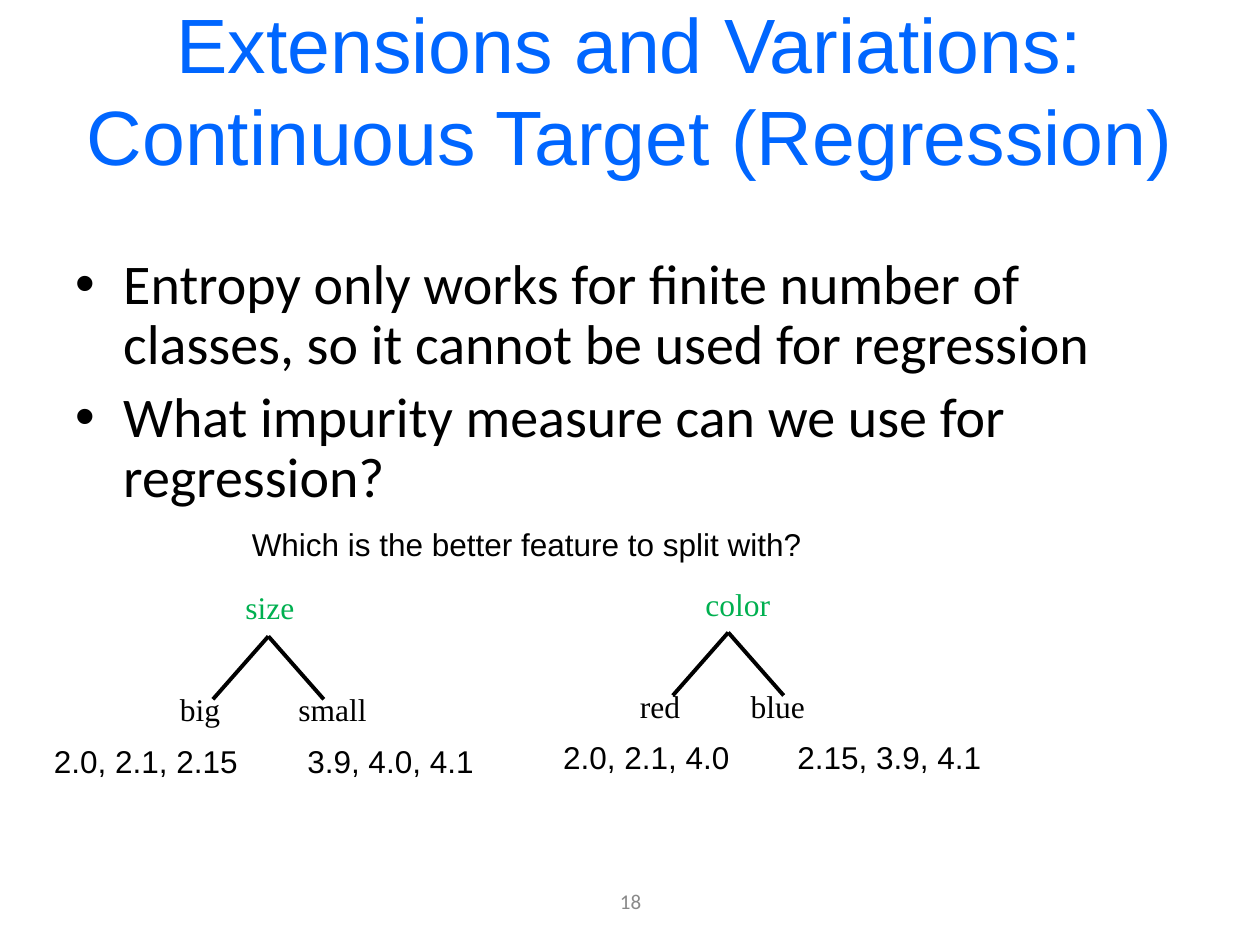
from lxml import etree
from pptx import Presentation
from pptx import util as u
from pptx.dml import color
from pptx.enum import shapes, text
from pptx.oxml import ns

COLORS = {"title": "0066FF", "feature": "00B050", "ink": "000000", "number": "898989"}
ROW = u.Inches(0.4)


def add_text(slide, box, lines, font, size, color_name,
             align=text.PP_ALIGN.LEFT, anchor=text.MSO_ANCHOR.TOP, bulleted=False):
    frame = slide.shapes.add_textbox(*box).text_frame
    frame.word_wrap = True
    frame.vertical_anchor = anchor
    for index, line in enumerate(lines):
        paragraph = frame.paragraphs[0] if index == 0 else frame.add_paragraph()
        paragraph.text = line
        paragraph.alignment = align
        if bulleted:
            add_bullet(paragraph)
            paragraph.line_spacing = 0.9
            if index:
                paragraph.space_before = u.Pt(7)
        paragraph.font.name = font
        paragraph.font.size = u.Pt(size)
        paragraph.font.color.rgb = color.RGBColor.from_string(COLORS[color_name])


def add_bullet(paragraph):
    properties = paragraph._p.get_or_add_pPr()
    indent = u.Inches(0.38)
    properties.set("marL", str(indent))
    properties.set("indent", str(-indent))
    etree.SubElement(properties, ns.qn("a:buFont"), typeface="Arial")
    etree.SubElement(properties, ns.qn("a:buChar"), char="•")


def add_branch(slide, start, end):
    branch = slide.shapes.add_connector(shapes.MSO_CONNECTOR.STRAIGHT, *start, *end)
    branch.line.color.rgb = color.RGBColor.from_string(COLORS["ink"])
    branch.line.width = u.Pt(2.25)
    etree.SubElement(branch._element.spPr, ns.qn("a:effectLst"))


def add_title(slide, box):
    add_text(slide, box, ["Extensions and Variations: Continuous Target (Regression)"],
             "Arial", 44, "title", text.PP_ALIGN.CENTER, text.MSO_ANCHOR.MIDDLE)


def add_body(slide, box):
    add_text(slide, box,
             ["Entropy only works for finite number of classes, so it cannot be used for regression",
              "What impurity measure can we use for regression?"],
             "Calibri", 32, "ink", bulleted=True)


def add_question(slide, box):
    add_text(slide, box, ["Which is the better feature to split with?"], "Arial", 18, "ink")


def add_tree(slide, box, feature, leaves):
    left, top, width, height = box
    apex = left + u.Inches(0.8), top + u.Inches(0.43)
    add_text(slide, (left + u.Inches(0.52), top, u.Inches(0.8), ROW),
             [feature], "Times New Roman", 18, "feature")
    for side, (label, label_x, values, values_x) in zip((-1, 1), leaves):
        add_text(slide, (left + u.Inches(label_x), top + u.Inches(0.81), u.Inches(0.85), ROW),
                 [label], "Times New Roman", 18, "ink")
        add_branch(slide, apex, (apex[0] + side * u.Inches(0.44), apex[1] + u.Inches(0.5)))
        add_text(slide, (left + u.Inches(values_x), top + height - ROW, width, ROW),
                 [values], "Arial", 18, "ink")


def add_slide_number(slide, box):
    add_text(slide, box, ["18"], "Calibri", 12, "number",
             text.PP_ALIGN.CENTER, text.MSO_ANCHOR.MIDDLE)


def inches(*lengths):
    return tuple(u.Inches(length) for length in lengths)


def main():
    presentation = Presentation()
    presentation.slide_width, presentation.slide_height = inches(10, 7.5)
    slide = presentation.slides.add_slide(presentation.slide_layouts[6])
    add_title(slide, inches(0.5, 0.08, 9, 1.25))
    add_body(slide, inches(0.5, 1.98, 9, 2.1))
    add_question(slide, inches(1.9, 4.12, 4.8, 0.4))
    add_tree(slide, inches(1.33, 4.62, 1.75, 1.62), "size",
             [("big", 0, "2.0, 2.1, 2.15", -1), ("small", 0.94, "3.9, 4.0, 4.1", 1.01)])
    add_tree(slide, inches(4.98, 4.59, 1.75, 1.62), "color",
             [("red", 0, "2.0, 2.1, 4.0", -0.61), ("blue", 0.88, "2.15, 3.9, 4.1", 1.25)])
    add_slide_number(slide, inches(3.42, 6.95, 3.17, 0.4))
    presentation.save("out.pptx")


if __name__ == "__main__":
    main()
